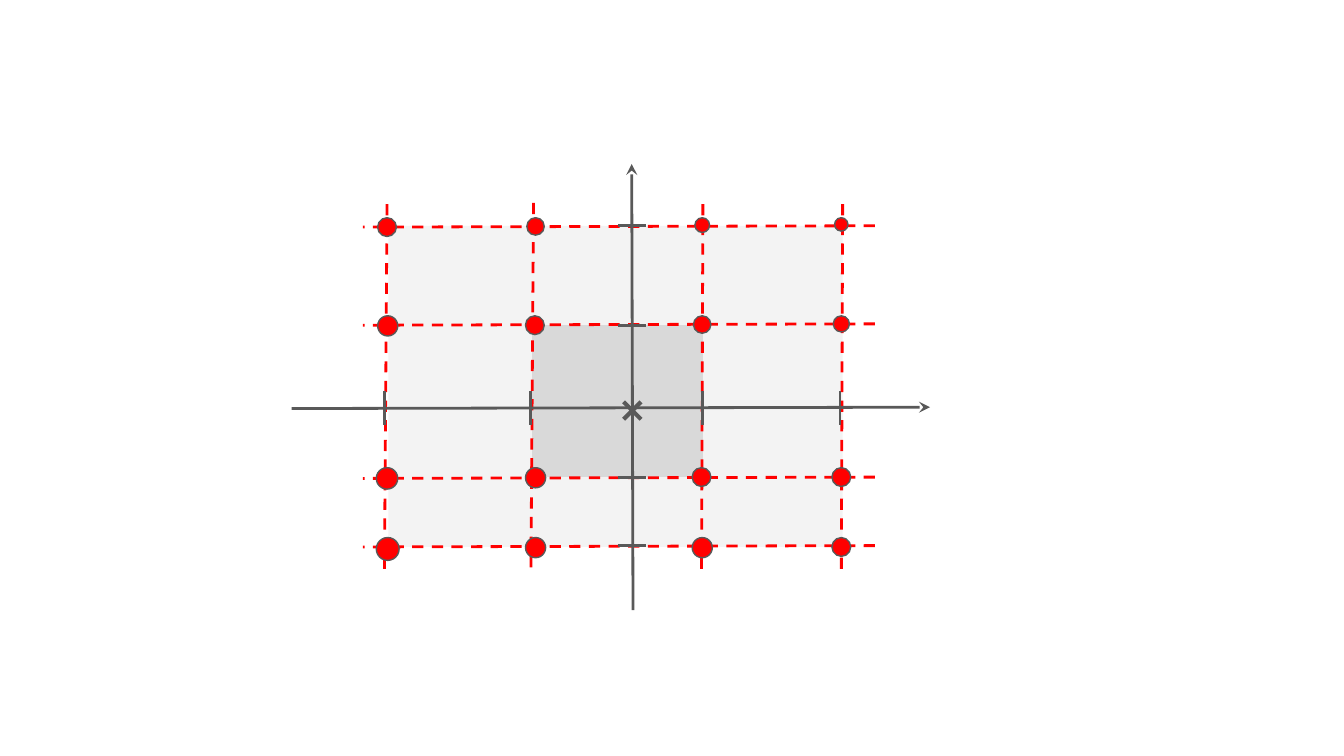
"""Build a slide with a dashed sampling grid, its dots and two axes."""
from pptx import Presentation
from pptx.dml.color import RGBColor
from pptx.enum import dml, shapes
from pptx.oxml.ns import qn
from pptx.util import Pt

PX = 9144
RED = RGBColor(0xFF, 0x00, 0x00)
GREY = RGBColor(0x59, 0x59, 0x59)
PALE = RGBColor(0xF3, 0xF3, 0xF3)
MID = RGBColor(0xD9, 0xD9, 0xD9)

prs = Presentation()
prs.slide_width, prs.slide_height = 1000 * PX, 5625 * PX // 10
s = prs.slides.add_slide(prs.slide_layouts[6])


def add_shape(kind, x, y, w, h, fill, outlined=False):
    sp = s.shapes.add_shape(kind, x * PX, y * PX, w * PX, h * PX)
    sp.shadow.inherit = False
    sp.fill.solid()
    sp.fill.fore_color.rgb = fill
    if outlined:
        sp.line.color.rgb = GREY
        sp.line.width = Pt(0.75)
    else:
        sp.line.fill.background()


def add_line(x1, y1, x2, y2, color=GREY, width=1.5, dashed=False, arrow=False):
    c = s.shapes.add_connector(shapes.MSO_CONNECTOR.STRAIGHT,
                               x1 * PX, y1 * PX, x2 * PX, y2 * PX)
    c.line.color.rgb = color
    c.line.width = Pt(width)
    if dashed:
        c.line.dash_style = dml.MSO_LINE.DASH
    if arrow:
        ln = c.line._get_or_add_ln()
        ln.append(ln.makeelement(qn("a:tailEnd"), {"type": "stealth"}))
    sp_pr = c._element.spPr
    sp_pr.append(sp_pr.makeelement(qn("a:effectLst"), {}))


add_shape(shapes.MSO_SHAPE.RECTANGLE, 289, 168, 338, 239, PALE)
add_shape(shapes.MSO_SHAPE.RECTANGLE, 396, 242, 127, 113, MID)

for x, top in ((523, 152), (627, 152), (288, 152), (397, 151)):
    drift = 1 if x > 500 else 2
    add_line(x, top, x - drift, top + 277, RED, dashed=True)
add_line(217, 304, 692, 303, arrow=True)
for y in (168, 241, 355, 406):
    add_line(651, y, 270, y + 1, RED, dashed=True)
add_line(471, 454, 470, 122, arrow=True)

for x1, x2 in ((464, 477), (477, 464)):
    add_line(x1, 299, x2, 312, width=2.25)

columns = (288, 398, 522, 626)
dot_rows = (
    (162, (14, 13, 11, 10)),
    (235, (15, 14, 13, 12)),
    (348, (16, 15, 14, 14)),
    (400, (17, 15, 15, 14)),
)
for top, sizes in dot_rows:
    for x, size in zip(columns, sizes):
        add_shape(shapes.MSO_SHAPE.OVAL, x - size // 2, top, size, size, RED, outlined=True)

for y in (168, 242, 355, 406):
    add_line(460, y, 481, y)
for x in (286, 395, 523, 625):
    add_line(x, 291, x, 316)

prs.save("out.pptx")
